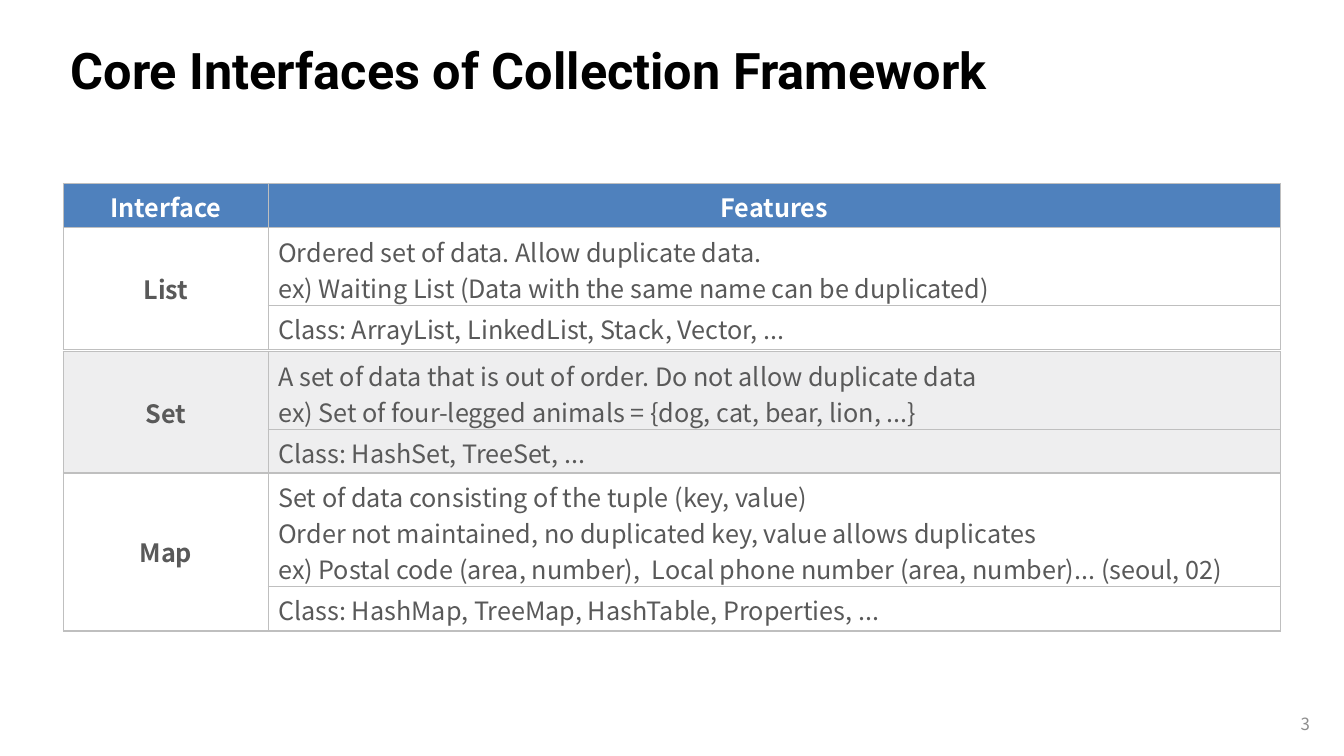
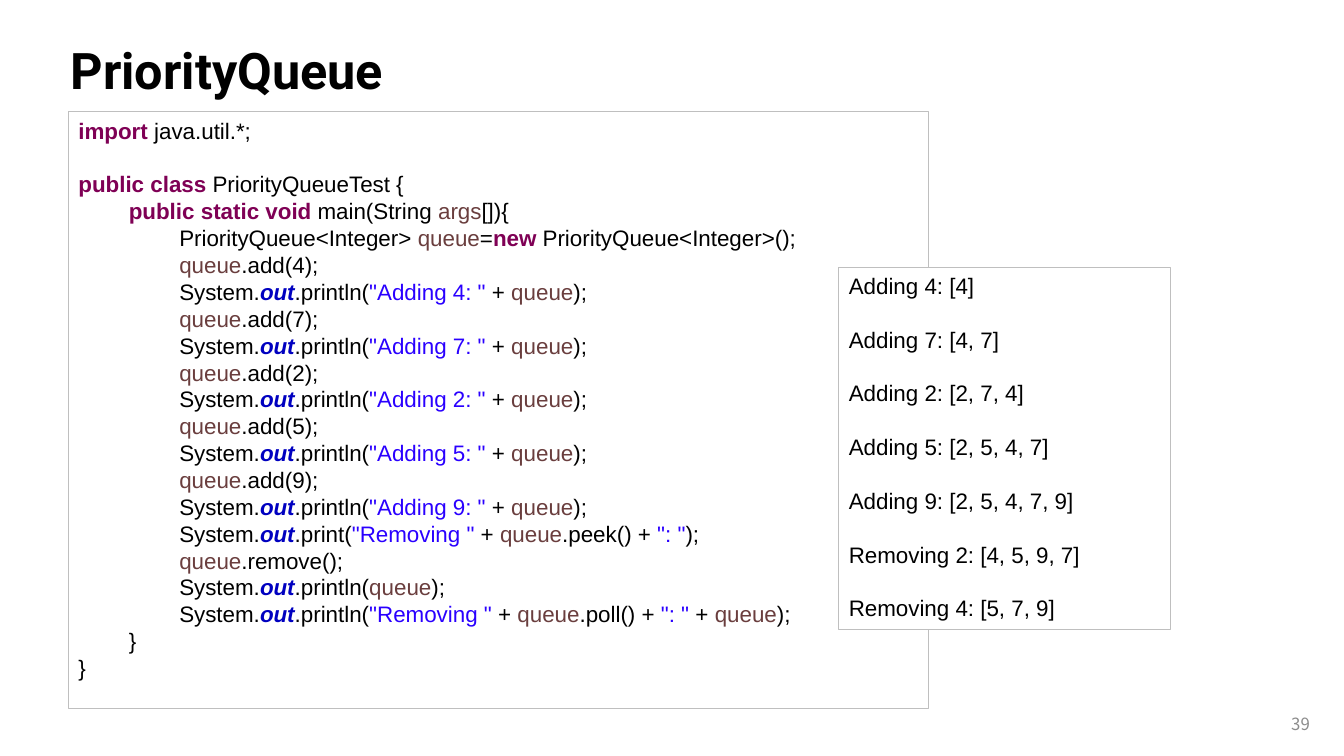
"""Build two slides on the Java collection framework."""
from itertools import groupby

from lxml.etree import SubElement
from pptx import Presentation
from pptx.dml.color import RGBColor
from pptx.enum.shapes import MSO_SHAPE
from pptx.enum.text import MSO_ANCHOR, MSO_AUTO_SIZE, PP_ALIGN
from pptx.oxml.ns import qn
from pptx.util import Inches, Pt

COLORS = {
    "black": "000000", "white": "FFFFFF", "text": "595959",
    "number": "8C8C8C", "border": "BFBFBF", "header": "4F81BD",
    "band": "EEEEEF", "keyword": "7F0055", "variable": "6A3E3E",
    "static": "0000C0", "string": "2A00FF",
}
TITLE_FONT, BODY_FONT, CODE_FONT = "Roboto", "Noto Sans CJK KR", "Arial"
CODE_SIZE, CODE_LINE = 16, Pt(19.2)
LEFT, COLS = 0.63, (2.03, 10.04)

TOKEN_STYLES = {
    **dict.fromkeys("import public class static void new".split(), "keyword"),
    **dict.fromkeys(("args", "queue"), "variable"),
    "out": "static",
}


def rgb(name):
    return RGBColor.from_string(COLORS[name])


def write(p, text, font=BODY_FONT, size=18, color="text", bold=False,
          italic=False, align=None):
    r = p.add_run()
    r.text = text
    r.font.name, r.font.size = font, Pt(size)
    r.font.bold, r.font.italic = bold, italic
    r.font.color.rgb = rgb(color)
    if align is not None:
        p.alignment = align


def tokens(line):
    for i, part in enumerate(line.split('"')):
        if i % 2:
            yield f'"{part}"', "string"
            continue
        for _, chars in groupby(part, str.isalnum):
            word = "".join(chars)
            yield word, TOKEN_STYLES.get(word, "black")


def paragraphs(tf, count):
    return [tf.paragraphs[0]] + [tf.add_paragraph() for _ in range(count - 1)]


class Deck:
    """Hold the shared style and the current slide."""

    def __init__(self):
        self.prs = Presentation()
        self.prs.slide_width, self.prs.slide_height = Inches(13.33), Inches(7.5)

    def slide(self, title, number):
        self.s = self.prs.slides.add_slide(self.prs.slide_layouts[5])
        sp = self.s.shapes.title
        sp.left, sp.top = Inches(0.6), Inches(0.29)
        sp.width, sp.height = Inches(12.08), Inches(0.79)
        tf = sp.text_frame
        tf.auto_size, tf.vertical_anchor = MSO_AUTO_SIZE.NONE, MSO_ANCHOR.MIDDLE
        write(tf.paragraphs[0], title, font=TITLE_FONT, size=36, color="black",
              bold=True, align=PP_ALIGN.LEFT)
        box = self.s.shapes.add_textbox(
            Inches(12.68), Inches(6.98), Inches(0.41), Inches(0.4))
        tf = box.text_frame
        tf.word_wrap, tf.vertical_anchor = True, MSO_ANCHOR.MIDDLE
        write(tf.paragraphs[0], str(number), size=12, color="number",
              align=PP_ALIGN.RIGHT)

    def cell(self, cell, lines, fill=None, **fmt):
        tcPr = cell._tc.get_or_add_tcPr()
        for side in ("a:lnL", "a:lnR", "a:lnT", "a:lnB"):
            ln = SubElement(tcPr, qn(side), w=str(Pt(1)))
            SubElement(SubElement(ln, qn("a:solidFill")), qn("a:srgbClr"),
                       val=COLORS["border"])
        if fill:
            cell.fill.solid()
            cell.fill.fore_color.rgb = rgb(fill)
        else:
            cell.fill.background()
        for p, line in zip(paragraphs(cell.text_frame, len(lines)), lines):
            write(p, line, **fmt)

    def table(self, top, name, features, classes, header=None, fill=None):
        heights = [0.44] * bool(header) + [0.05 + 0.36 * len(features), 0.44]
        tbl = self.s.shapes.add_table(
            len(heights), 2, Inches(LEFT), Inches(top),
            Inches(sum(COLS)), Inches(sum(heights))).table
        tbl.first_row = tbl.horz_banding = False
        for col, width in zip(tbl.columns, COLS):
            col.width = Inches(width)
        for row, height in zip(tbl.rows, heights):
            row.height = Inches(height)
        for i, text in enumerate(header or ()):
            self.cell(tbl.cell(0, i), [text], fill="header", color="white",
                      bold=True, align=PP_ALIGN.CENTER)
        last = len(heights) - 1
        head, below = tbl.cell(last - 1, 0), tbl.cell(last, 0)
        self.cell(head, [name], fill=fill, bold=True, align=PP_ALIGN.CENTER)
        self.cell(below, [], fill=fill)
        head.merge(below)
        head.vertical_anchor = MSO_ANCHOR.MIDDLE
        self.cell(tbl.cell(last - 1, 1), features, fill=fill)
        self.cell(tbl.cell(last, 1), [f"Class: {classes}, ..."], fill=fill)

    def panel(self, left, top, width, height, fill=None):
        sp = self.s.shapes.add_shape(
            MSO_SHAPE.RECTANGLE, Inches(left), Inches(top),
            Inches(width), Inches(height))
        sp.shadow.inherit = False
        sp.line.color.rgb, sp.line.width = rgb("border"), Pt(0.75)
        if fill:
            sp.fill.solid()
            sp.fill.fore_color.rgb = rgb(fill)
        else:
            sp.fill.background()
        tf = sp.text_frame
        tf.word_wrap, tf.vertical_anchor = True, MSO_ANCHOR.TOP
        return tf

    def code(self, tf, lines):
        for p, (level, line, gap) in zip(paragraphs(tf, len(lines)), lines):
            p.level, p.alignment, p.line_spacing = level, PP_ALIGN.LEFT, CODE_LINE
            pPr = p._p.get_or_add_pPr()
            pPr.set("marL", str(Inches(0.5 * level)))
            pPr.set("indent", "0")
            if gap:
                p.space_before = CODE_LINE
            for style, group in groupby(tokens(line), lambda token: token[1]):
                write(p, "".join(text for text, _ in group), font=CODE_FONT,
                      size=CODE_SIZE, color=style,
                      bold=style in ("keyword", "static"),
                      italic=style == "static")

    def output(self, tf, lines):
        for i, (p, line) in enumerate(zip(paragraphs(tf, len(lines)), lines)):
            p.line_spacing = CODE_LINE
            if i:
                p.space_before = CODE_LINE
            write(p, line, font=CODE_FONT, size=CODE_SIZE, color="black",
                  align=PP_ALIGN.LEFT)


def interfaces(deck):
    deck.slide("Core Interfaces of Collection Framework", 3)
    deck.table(1.82, "List", [
        "Ordered set of data. Allow duplicate data.",
        "ex) Waiting List (Data with the same name can be duplicated)",
    ], "ArrayList, LinkedList, Stack, Vector", header=("Interface", "Features"))
    deck.table(3.49, "Set", [
        "A set of data that is out of order. Do not allow duplicate data",
        "ex) Set of four-legged animals = {dog, cat, bear, lion, ...}",
    ], "HashSet, TreeSet", fill="band")
    deck.table(4.69, "Map", [
        "Set of data consisting of the tuple (key, value)",
        "Order not maintained, no duplicated key, value allows duplicates",
        "ex) Postal code (area, number),  Local phone number (area, number)"
        "... (seoul, 02)",
    ], "HashMap, TreeMap, HashTable, Properties")


def priority_queue(deck):
    deck.slide("PriorityQueue", 39)
    body = ["PriorityQueue<Integer> queue=new PriorityQueue<Integer>();"]
    for n in (4, 7, 2, 5, 9):
        body += [f"queue.add({n});",
                 f'System.out.println("Adding {n}: " + queue);']
    body += [
        'System.out.print("Removing " + queue.peek() + ": ");',
        "queue.remove();",
        "System.out.println(queue);",
        'System.out.println("Removing " + queue.poll() + ": " + queue);',
    ]
    deck.code(deck.panel(0.68, 1.11, 8.53, 5.92), [
        (0, "import java.util.*;", False),
        (0, "public class PriorityQueueTest {", True),
        (1, "public static void main(String args[]){", False),
        *((2, line, False) for line in body),
        (1, "}", False),
        (0, "}", False),
    ])
    deck.output(deck.panel(8.32, 2.65, 3.29, 3.6, fill="white"), [
        "Adding 4: [4]",
        "Adding 7: [4, 7]",
        "Adding 2: [2, 7, 4]",
        "Adding 5: [2, 5, 4, 7]",
        "Adding 9: [2, 5, 4, 7, 9]",
        "Removing 2: [4, 5, 9, 7]",
        "Removing 4: [5, 7, 9]",
    ])


def main():
    deck = Deck()
    interfaces(deck)
    priority_queue(deck)
    deck.prs.save("out.pptx")


if __name__ == "__main__":
    main()
